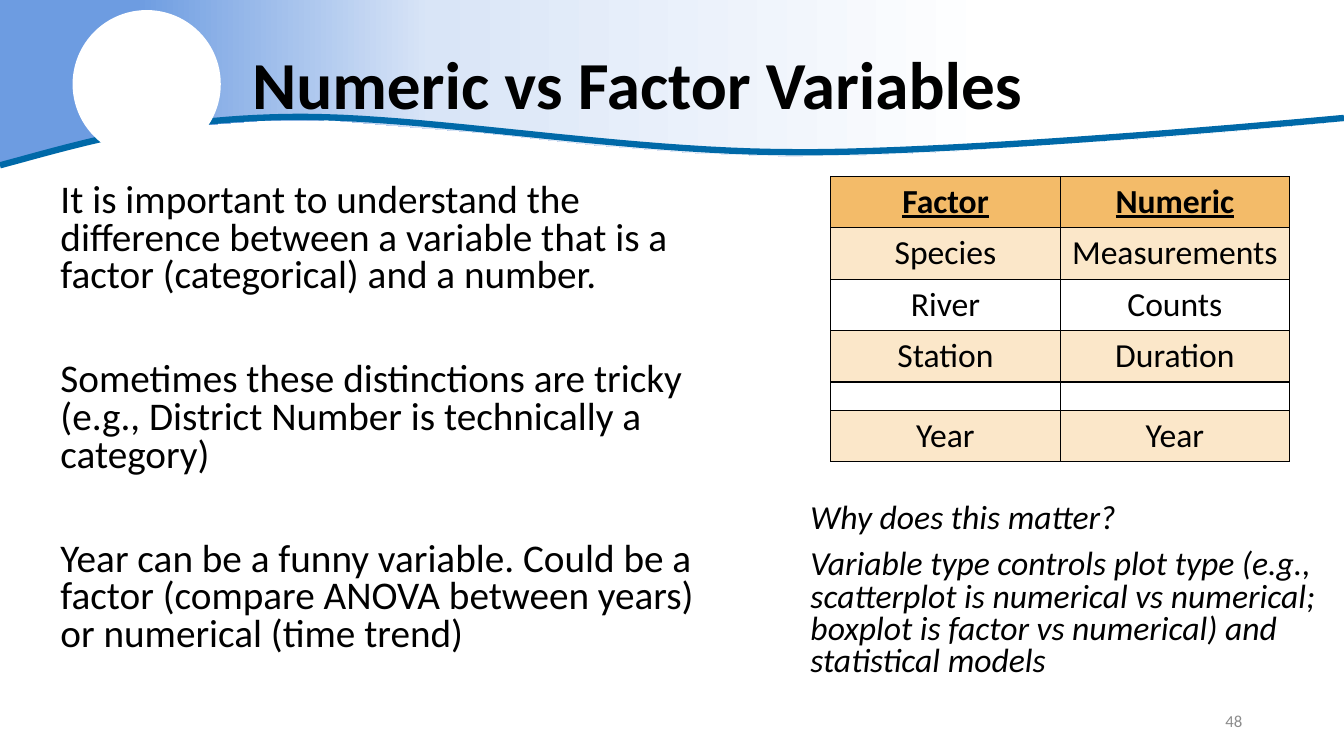
from copy import deepcopy
from lxml.etree import SubElement as Sub
from pptx import Presentation
from pptx.dml.color import RGBColor as Rgb
from pptx.enum.shapes import MSO_SHAPE as Shape
from pptx.enum.text import MSO_ANCHOR as Anchor, MSO_AUTO_SIZE as Auto, PP_ALIGN as Align
from pptx.oxml.ns import qn
from pptx.util import Inches, Pt

HUES = {"ink": "000000", "white": "FFFFFF", "gray": "8C8C8C", "wave": "0069A8",
        "sky": "6D9CE1", "mist": "D9E5F7", "head": "F3BB69", "band": "FBE7C9"}
EDGE = [(13.34, 1.2), (12.38, 1.29), (11.43, 1.37), (10.44, 1.43), (9.46, 1.5),
        (8.54, 1.54), (7.79, 1.55), (6.92, 1.52), (5.91, 1.44), (4.81, 1.32),
        (3.95, 1.25), (3.26, 1.19), (2.55, 1.2), (1.9, 1.25), (1.13, 1.36),
        (0.44, 1.51), (0, 1.65)]
WAVE = [(0, 1.64), (0.75, 1.44), (1.55, 1.18), (2.87, 1.16), (4.19, 1.14),
        (6.15, 1.51), (7.9, 1.51), (9.64, 1.52), (13.33, 1.17), (13.33, 1.17)]
ROWS = [("Factor", "Numeric"), ("Species", "Measurements"), ("River", "Counts"),
        ("Station", "Duration"), ("", ""), ("Year", "Year")]
BODY = ["It is important to understand the difference between a variable that is a "
        "factor (categorical) and a number.",
        "Sometimes these distinctions are tricky (e.g., District Number is technically "
        "a category)",
        "Year can be a funny variable. Could be a factor (compare ANOVA between years) "
        "or numerical (time trend)"]
NOTE = ["Why does this matter?",
        "Variable type controls plot type (e.g., scatterplot is numerical vs numerical; "
        "boxplot is factor vs numerical) and statistical models"]


def tint(name):
    """Return the named colour."""
    return Rgb.from_string(HUES[name])


def put(frame, lines, size, hue="ink", bold=False, ital=False, line=False,
        align=Align.LEFT, lead=1.0, gap=0):
    """Write the lines as formatted paragraphs."""
    for i, text in enumerate(lines):
        para = frame.add_paragraph() if i else frame.paragraphs[0]
        para.alignment, para.line_spacing = align, lead
        para.space_before = Pt(gap if i else 0)
        props = para._p.get_or_add_pPr()
        props.set("marL", "0")
        props.set("indent", "0")
        Sub(props, qn("a:buNone"))
        run = para.add_run()
        run.text = text
        font = run.font
        font.name, font.size, font.color.rgb = "Calibri", Pt(size), tint(hue)
        font.bold, font.italic, font.underline = bold, ital, line


def fit(shape, box, anchor=Anchor.TOP):
    """Set the box of a text shape and return its frame."""
    shape.left, shape.top, shape.width, shape.height = map(Inches, box)
    frame = shape.text_frame
    frame.word_wrap, frame.auto_size = True, Auto.NONE
    frame.vertical_anchor = anchor
    return frame


def hold(slide, idx, box, anchor=Anchor.TOP):
    """Bring a placeholder to the front, place it and return its frame."""
    shape = slide.placeholders[idx]
    slide.shapes._spTree.append(shape._element)
    return fit(shape, box, anchor)


def label(slide, box, anchor=Anchor.TOP):
    """Add a text box and return its frame."""
    return fit(slide.shapes.add_textbox(0, 0, 0, 0), box, anchor)


def trace(slide, points, close, left, top):
    """Add a freeform through the points, offset by left and top."""
    spots = [(Inches(left + x), Inches(top + y)) for x, y in points]
    pen = slide.shapes.build_freeform(*spots[0])
    pen.add_line_segments(spots[1:], close=close)
    shape = pen.convert_to_shape()
    shape.shadow.inherit = False
    return shape


def bend(knots, steps=24):
    """Sample a chain of cubic curves."""
    points = [knots[0]]
    for i in range(0, len(knots) - 1, 3):
        for t in (n / steps for n in range(1, steps + 1)):
            mix = ((1 - t) ** 3, 3 * t * (1 - t) ** 2, 3 * t * t * (1 - t), t ** 3)
            points.append(tuple(sum(m * k[a] for m, k in zip(mix, knots[i:i + 4]))
                                for a in (0, 1)))
    return points


def banner(slide, left, top, width):
    """Draw the shaded band, the wave and the disc."""
    band = trace(slide, [(0, 0), (width, 0)] + EDGE, True, left, top)
    band.line.fill.background()
    band.fill.gradient()
    band.fill.gradient_angle = 0
    first = band.fill.gradient_stops[0]._gs
    first.getparent().append(deepcopy(first))
    marks = [(0.1, "sky"), (0.32, "mist"), (0.74, "white")]
    for stop, (spot, hue) in zip(band.fill.gradient_stops, marks):
        stop.position, stop.color.rgb = spot, tint(hue)
    wave = trace(slide, bend(WAVE), False, left, top)
    wave.fill.background()
    wave.line.color.rgb, wave.line.width = tint("wave"), Pt(4.5)
    disc = slide.shapes.add_shape(Shape.OVAL, Inches(left + 0.72), Inches(top + 0.1),
                                  Inches(1.47), Inches(1.47))
    disc.shadow.inherit = False
    disc.fill.solid()
    disc.fill.fore_color.rgb = tint("white")
    disc.line.fill.background()


def frame(cell):
    """Give a cell thin black borders."""
    props = cell._tc.get_or_add_tcPr()
    for side in ("a:lnL", "a:lnR", "a:lnT", "a:lnB"):
        edge = Sub(props, qn(side), w=str(Pt(1)))
        Sub(Sub(edge, qn("a:solidFill")), qn("a:srgbClr"), val=HUES["ink"])


def grid(slide, left, top, width):
    """Build the table of variable types."""
    tall, short = 0.51, 0.28
    high = [tall if row[0] else short for row in ROWS]
    table = slide.shapes.add_table(len(ROWS), 2, Inches(left), Inches(top),
                                   Inches(width), Inches(sum(high))).table
    table.horz_banding = False
    for col in table.columns:
        col.width = Inches(width / 2)
    for r, row in enumerate(ROWS):
        table.rows[r].height = Inches(high[r])
        for c, text in enumerate(row):
            cell = table.cell(r, c)
            frame(cell)
            cell.fill.solid()
            hue = "head" if r == 0 else "band" if r % 2 else "white"
            cell.fill.fore_color.rgb = tint(hue)
            if text:
                put(cell.text_frame, [text], 24, bold=r == 0, line=r == 0,
                    align=Align.CENTER)
            else:
                Sub(cell.text_frame.paragraphs[0]._p, qn("a:endParaRPr"), sz="1000")


def main():
    """Build and save the slide."""
    deck = Presentation()
    deck.slide_width, deck.slide_height = Inches(13.33), Inches(7.5)
    slide = deck.slides.add_slide(deck.slide_layouts[1])
    banner(slide, 0, 0, 13.34)
    put(hold(slide, 0, (2.4, 0.2, 10.02, 1.34), Anchor.MIDDLE),
        ["Numeric vs Factor Variables"], 48, bold=True, lead=0.9)
    put(hold(slide, 1, (0.5, 1.77, 6.53, 5.18)), BODY, 28, lead=0.8, gap=47.3)
    grid(slide, 8.24, 1.75, 4.55)
    put(label(slide, (7.94, 4.95, 5.39, 1.98)), NOTE, 24, ital=True, lead=0.8, gap=10)
    put(label(slide, (9.42, 6.95, 3, 0.4), Anchor.MIDDLE), ["48"], 12, hue="gray",
        align=Align.RIGHT)
    deck.save("out.pptx")


if __name__ == "__main__":
    main()
